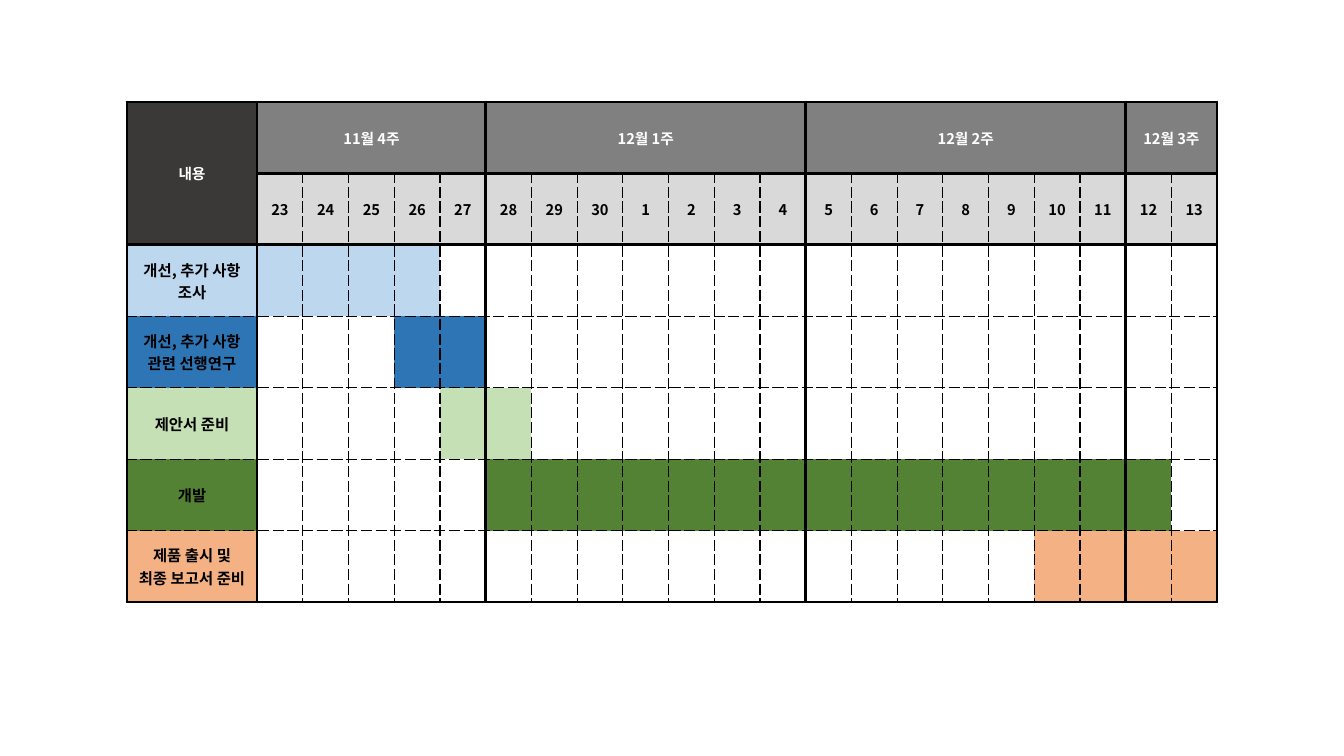
from dataclasses import dataclass

from lxml.etree import SubElement
from pptx import Presentation
from pptx.dml.color import RGBColor
from pptx.enum.text import MSO_ANCHOR, PP_ALIGN
from pptx.oxml.ns import qn
from pptx.util import Cm, Pt


@dataclass
class Theme:
    font: str = "Noto Sans CJK KR"
    header_size: float = 10.5
    task_size: float = 11
    black: str = "000000"
    white: str = "FFFFFF"
    title: str = "3B3838"
    week: str = "808080"
    day: str = "D9D9D9"
    thick: float = 2.25
    thin: float = 1


theme = Theme()

weeks = [("11월 4주", 5), ("12월 1주", 7), ("12월 2주", 7), ("12월 3주", 2)]
days = [*range(23, 31), *range(1, 14)]
tasks = [
    ("개선, 추가 사항 조사", "BDD7EE", 23, 26),
    ("개선, 추가 사항 관련 선행연구", "2E75B6", 26, 27),
    ("제안서 준비", "C5E0B4", 27, 28),
    ("개발", "548235", 28, 12),
    ("제품 출시 및 최종 보고서 준비", "F4B183", 10, 13),
]
row_count = len(tasks) + 2
col_count = len(days) + 1


def style_cell(cell, fill, edges):
    tcPr = cell._tc.get_or_add_tcPr()
    for side, thick in zip("LRTB", edges):
        width = theme.thick if thick else theme.thin
        ln = SubElement(tcPr, qn(f"a:ln{side}"), w=str(Pt(width)))
        color = SubElement(ln, qn("a:solidFill"))
        SubElement(color, qn("a:srgbClr"), val=theme.black)
        SubElement(ln, qn("a:prstDash"), val="solid" if thick else "dash")
    cell.fill.solid()
    cell.fill.fore_color.rgb = RGBColor.from_string(fill)


def write_cell(cell, text, size, color):
    cell.text_frame.text = text
    cell.vertical_anchor = MSO_ANCHOR.MIDDLE
    p = cell.text_frame.paragraphs[0]
    p.alignment = PP_ALIGN.CENTER
    r = p.runs[0]
    r.font.size = Pt(size)
    r.font.bold = True
    r.font.color.rgb = RGBColor.from_string(color)
    r.font.name = theme.font
    SubElement(r.font._element, qn("a:ea"), typeface=theme.font)


prs = Presentation()
prs.slide_width = Cm(33.87)
prs.slide_height = Cm(19.05)
s = prs.slides.add_slide(prs.slide_layouts[6])

task_width, day_width, row_height = Cm(3.28), Cm(24.2) // len(days), Cm(1.8)
sp = s.shapes.add_table(
    row_count, col_count, Cm(3.2), Cm(2.57),
    task_width + day_width * len(days), row_height * row_count,
)
table = sp.table
table.first_row = False
table.horz_banding = False
for col in table.columns:
    col.width = day_width
table.columns[0].width = task_width
for row in table.rows:
    row.height = row_height

table.cell(0, 0).merge(table.cell(1, 0))
write_cell(table.cell(0, 0), "내용", theme.header_size, theme.white)

thick_cols = {0, 1}
start = 1
for name, length in weeks:
    table.cell(0, start).merge(table.cell(0, start + length - 1))
    write_cell(table.cell(0, start), name, theme.header_size, theme.white)
    start += length
    thick_cols.add(start)
thick_rows = {0, 1, 2, row_count}

for c, day in enumerate(days, 1):
    write_cell(table.cell(1, c), str(day), theme.header_size, theme.black)

fills = [[theme.title] + [theme.week] * len(days), [theme.title] + [theme.day] * len(days)]
for i, (name, color, first, last) in enumerate(tasks, 2):
    write_cell(table.cell(i, 0), name, theme.task_size, theme.black)
    bar = range(days.index(first), days.index(last) + 1)
    fills.append([color] + [color if d in bar else theme.white for d in range(len(days))])

for i, row_fills in enumerate(fills):
    for c, fill in enumerate(row_fills):
        cell = table.cell(i, c)
        if cell.is_spanned:
            continue
        edges = [c in thick_cols, c + 1 in thick_cols, i in thick_rows, i + 1 in thick_rows]
        style_cell(cell, fill, [True] * 4 if cell.is_merge_origin else edges)

prs.save("out.pptx")
